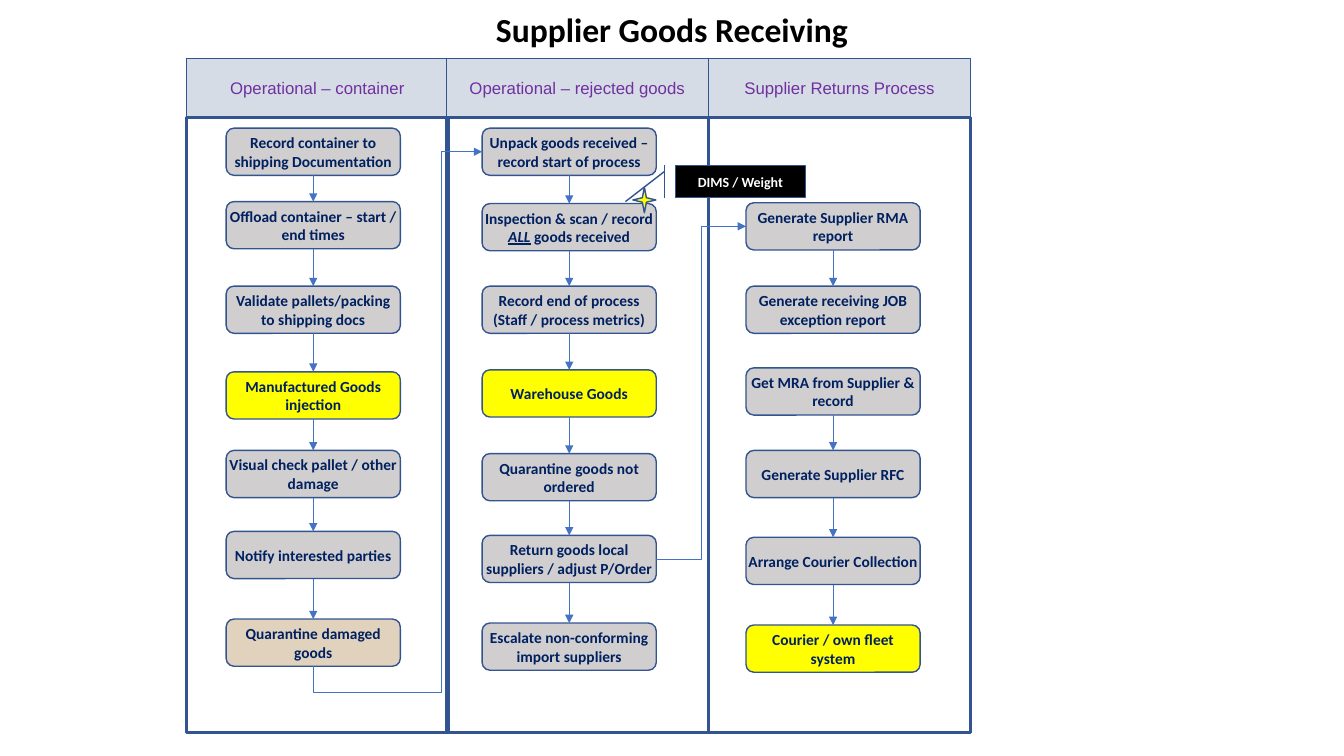
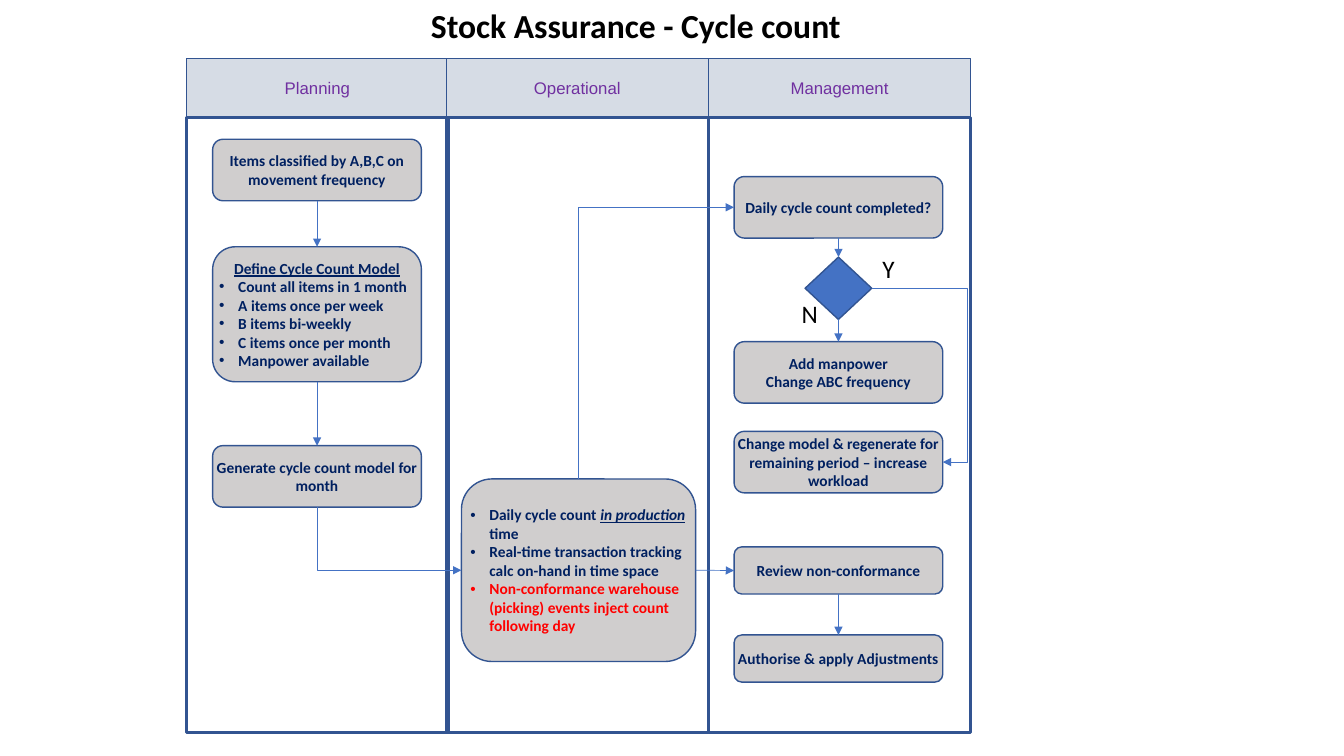
"""Build two swimlane flowcharts: supplier goods receiving and stock cycle count."""
from dataclasses import dataclass, field
from itertools import pairwise
from typing import Any, NamedTuple

from lxml import etree
from pptx import Presentation
from pptx.dml.color import RGBColor
from pptx.enum.shapes import MSO_CONNECTOR, MSO_SHAPE
from pptx.enum.text import MSO_ANCHOR, PP_ALIGN
from pptx.oxml.ns import qn
from pptx.shapes.autoshape import Shape
from pptx.shapes.connector import Connector
from pptx.slide import Slide
from pptx.util import Cm, Pt

ROUNDED = MSO_SHAPE.ROUNDED_RECTANGLE
RECTANGLE = MSO_SHAPE.RECTANGLE
PROCESS = MSO_SHAPE.FLOWCHART_PROCESS
DECISION = MSO_SHAPE.FLOWCHART_DECISION
STAR = MSO_SHAPE.STAR_4_POINT
CALLOUT = MSO_SHAPE.LINE_CALLOUT_1_BORDER_AND_ACCENT_BAR
STRAIGHT = MSO_CONNECTOR.STRAIGHT
ELBOW = MSO_CONNECTOR.ELBOW
LEFT = PP_ALIGN.LEFT
CENTER = PP_ALIGN.CENTER
MIDDLE = MSO_ANCHOR.MIDDLE
TOP_SITE, LEFT_SITE, BOTTOM_SITE, RIGHT_SITE = range(4)

BLACK = RGBColor(0x00, 0x00, 0x00)
WHITE = RGBColor(0xFF, 0xFF, 0xFF)
NAVY = RGBColor(0x00, 0x20, 0x60)
PURPLE = RGBColor(0x70, 0x30, 0xA0)
RED = RGBColor(0xFF, 0x00, 0x00)
YELLOW = RGBColor(0xFF, 0xFF, 0x00)
GREY = RGBColor(0xD0, 0xCE, 0xCE)
SAND = RGBColor(0xE1, 0xD2, 0xBD)
PALE_BLUE = RGBColor(0xD6, 0xDC, 0xE5)
BLUE = RGBColor(0x44, 0x72, 0xC4)
OUTLINE = RGBColor(0x32, 0x54, 0x91)

Format = dict[str, Any]
TITLE_FORMAT: Format = {"name": "Calibri", "size": Pt(24), "bold": True, "color": BLACK}
HEADER_FORMAT: Format = {"name": "Arial", "size": Pt(12), "color": PURPLE}
STEP_FORMAT: Format = {"name": "Calibri", "size": Pt(11), "bold": True, "color": NAVY}
CALLOUT_FORMAT: Format = STEP_FORMAT | {"size": Pt(10), "color": WHITE}
LABEL_FORMAT: Format = {"name": "Calibri", "size": Pt(18), "color": BLACK}
EMPHASIS: Format = {"italic": True, "underline": True}
STEP_FRAME: Format = {"margin_left": 0, "margin_right": 0}

LANE_LEFTS = (4.7, 11.25, 17.86)
LANE_WIDTH = 6.6
HEADER_TOP, HEADER_HEIGHT = 1.47, 1.5
LANE_TOP, LANE_HEIGHT = 2.97, 15.5
STEP_SIZE = (4.39, 1.19)
WIDE_STEP_SIZE = (5.26, 1.55)
WIDE_LOW_SIZE = (5.26, 1.19)
BULLET_INDENT = Cm(0.48)


class Run(NamedTuple):
    """A piece of text and what differs from its base format."""
    text: str
    format: Format = {}


class Line(NamedTuple):
    """A paragraph made of runs."""
    runs: tuple[Run, ...]
    bullet: bool = False


class Area(NamedTuple):
    """A rectangle in centimetres."""
    left: float
    top: float
    width: float
    height: float

    def lengths(self) -> list[Cm]:
        """Return the four values as lengths."""
        return [Cm(value) for value in self]


class Label(NamedTuple):
    """A free text beside a shape."""
    text: str
    area: Area


class Link(NamedTuple):
    """An arrow between sites of two named boxes."""
    begin: str
    end: str
    begin_site: int
    end_site: int
    preset: str = ""
    adjustments: tuple[float, ...] = ()


@dataclass
class Box:
    """A filled shape with its text."""
    area: Area
    lines: tuple[Line, ...] = ()
    fill: RGBColor = GREY
    preset: MSO_SHAPE = ROUNDED
    format: Format = field(default_factory=lambda: STEP_FORMAT)


@dataclass
class Flow:
    """All the content of one slide."""
    title: str
    title_area: Area
    headers: tuple[str, str, str]
    boxes: dict[str, Box]
    chains: tuple[tuple[str, ...], ...]
    links: tuple[Link, ...]
    labels: tuple[Label, ...] = ()


def plain(*texts: str, bullet: bool = False) -> tuple[Line, ...]:
    """Return one line of a single run for each text."""
    return tuple(Line((Run(text),), bullet) for text in texts)


def step(left: float, top: float, size: tuple[float, float], *texts: str,
         fill: RGBColor = GREY) -> Box:
    """Return a box of a given size with plain text."""
    return Box(Area(left, top, *size), plain(*texts), fill)


def apply_format(target: Any, values: Format) -> None:
    """Set each format value on a font or text frame."""
    for name, value in values.items():
        if name == "color":
            target.color.rgb = value
        else:
            setattr(target, name, value)


def write_lines(shape: Shape, lines: tuple[Line, ...], base: Format, frame: Format) -> None:
    """Fill a shape with formatted paragraphs."""
    text_frame = shape.text_frame
    apply_format(text_frame, {"word_wrap": True, "vertical_anchor": MIDDLE} | frame)
    for index, line in enumerate(lines):
        paragraph = text_frame.add_paragraph() if index else text_frame.paragraphs[0]
        paragraph.alignment = LEFT if line.bullet else CENTER
        if line.bullet:
            properties = paragraph._p.get_or_add_pPr()
            properties.set("marL", str(BULLET_INDENT))
            properties.set("indent", str(-BULLET_INDENT))
            etree.SubElement(properties, qn("a:buFont"), typeface="Arial")
            etree.SubElement(properties, qn("a:buChar"), char="•")
        for part in line.runs:
            run = paragraph.add_run()
            run.text = part.text
            apply_format(run.font, base | part.format)


def add_outlined(slide: Slide, preset: MSO_SHAPE, area: Area,
                 fill: RGBColor | None, weight: float = 1) -> Shape:
    """Add a preset shape with the shared outline."""
    shape = slide.shapes.add_shape(preset, *area.lengths())
    shape.shadow.inherit = False
    if fill is None:
        shape.fill.background()
    else:
        shape.fill.solid()
        shape.fill.fore_color.rgb = fill
    shape.line.color.rgb = OUTLINE
    shape.line.width = Pt(weight)
    return shape


def add_label(slide: Slide, label: Label, values: Format) -> None:
    """Add a centred text box."""
    shape = slide.shapes.add_textbox(*label.area.lengths())
    write_lines(shape, plain(label.text), values, {})


def add_lanes(slide: Slide, headers: tuple[str, str, str]) -> None:
    """Draw the three lanes with their headers."""
    for left, text in zip(LANE_LEFTS, headers):
        header = add_outlined(slide, PROCESS, Area(left, HEADER_TOP, LANE_WIDTH, HEADER_HEIGHT),
                              PALE_BLUE)
        write_lines(header, plain(text), HEADER_FORMAT, {})
        add_outlined(slide, RECTANGLE, Area(left, LANE_TOP, LANE_WIDTH, LANE_HEIGHT), None, 2)


def turn_upright(connector: Connector) -> None:
    """Rotate an elbow so that it leaves its first box vertically."""
    across = connector.end_x - connector.begin_x
    down = connector.end_y - connector.begin_y
    middle_x = (connector.begin_x + connector.end_x) // 2
    middle_y = (connector.begin_y + connector.end_y) // 2
    connector.width, connector.height = abs(down), abs(across)
    connector.left = middle_x - connector.width // 2
    connector.top = middle_y - connector.height // 2
    transform = connector._element.spPr.find(qn("a:xfrm"))
    for name, value in {"rot": 90 * 60000, "flipH": int(down < 0),
                        "flipV": int(across > 0)}.items():
        transform.set(name, str(value))


def add_link(slide: Slide, link: Link, shapes: dict[str, Shape]) -> None:
    """Draw an arrow glued to two boxes."""
    kind = ELBOW if link.preset else STRAIGHT
    connector = slide.shapes.add_connector(kind, 0, 0, 0, 0)
    connector.begin_connect(shapes[link.begin], link.begin_site)
    connector.end_connect(shapes[link.end], link.end_site)
    connector.line.color.rgb = BLUE
    connector.line.width = Pt(0.5)
    properties = connector._element.spPr
    etree.SubElement(properties.find(qn("a:ln")), qn("a:tailEnd"), type="triangle")
    etree.SubElement(properties, qn("a:effectLst"))
    if not link.preset:
        return
    geometry = properties.find(qn("a:prstGeom"))
    geometry.set("prst", link.preset)
    for number, value in enumerate(link.adjustments, 1):
        etree.SubElement(geometry.find(qn("a:avLst")), qn("a:gd"),
                         name=f"adj{number}", fmla=f"val {round(value * 100000)}")
    if link.begin_site in (TOP_SITE, BOTTOM_SITE):
        turn_upright(connector)


def add_flow(presentation: Any, flow: Flow) -> None:
    """Add one flowchart slide."""
    slide = presentation.slides.add_slide(presentation.slide_layouts[6])
    add_label(slide, Label(flow.title, flow.title_area), TITLE_FORMAT)
    add_lanes(slide, flow.headers)
    shapes = {}
    for name, box in flow.boxes.items():
        shapes[name] = add_outlined(slide, box.preset, box.area, box.fill)
        write_lines(shapes[name], box.lines, box.format, STEP_FRAME)
    for chain in flow.chains:
        for begin, end in pairwise(chain):
            add_link(slide, Link(begin, end, BOTTOM_SITE, TOP_SITE), shapes)
    for link in flow.links:
        add_link(slide, link, shapes)
    for label in flow.labels:
        add_label(slide, label, LABEL_FORMAT)


RECEIVING = Flow(
    "Supplier Goods Receiving", Area(0, 0.1, 33.87, 1.28),
    ("Operational – container", "Operational – rejected goods", "Supplier Returns Process"),
    {
        "record": step(5.7, 3.23, STEP_SIZE, "Record container to shipping Documentation"),
        "offload": step(5.7, 5.08, STEP_SIZE, "Offload container – start / end times"),
        "validate": step(5.7, 7.21, STEP_SIZE, "Validate pallets/packing to shipping docs"),
        "inject": step(5.7, 9.37, STEP_SIZE, "Manufactured Goods injection", fill=YELLOW),
        "check": step(5.7, 11.35, STEP_SIZE, "Visual check pallet / other damage"),
        "notify": step(5.7, 13.39, STEP_SIZE, "Notify interested parties"),
        "damaged": step(5.7, 15.6, STEP_SIZE, "Quarantine damaged goods", fill=SAND),
        "unpack": step(12.15, 3.23, STEP_SIZE, "Unpack goods received – record start of process"),
        "inspect": Box(Area(12.15, 5.13, *STEP_SIZE), (Line((
            Run("Inspection & scan / record "), Run("ALL", EMPHASIS), Run(" goods received"))),)),
        "finish": step(12.15, 7.21, STEP_SIZE, "Record end of process", "(Staff / process metrics)"),
        "warehouse": step(12.15, 9.32, STEP_SIZE, "Warehouse Goods", fill=YELLOW),
        "unordered": step(12.15, 11.43, STEP_SIZE, "Quarantine goods not ordered"),
        "return": step(12.15, 13.49, STEP_SIZE, "Return goods local suppliers / adjust P/Order"),
        "escalate": step(12.15, 15.7, STEP_SIZE, "Escalate non-conforming import suppliers"),
        "rma": step(18.8, 5.11, STEP_SIZE, "Generate Supplier RMA report"),
        "exception": step(18.8, 7.21, STEP_SIZE, "Generate receiving JOB exception report"),
        "mra": step(18.8, 9.27, STEP_SIZE, "Get MRA from Supplier & record"),
        "rfc": step(18.8, 11.35, STEP_SIZE, "Generate Supplier RFC"),
        "arrange": step(18.8, 13.54, STEP_SIZE, "Arrange Courier Collection"),
        "courier": step(18.8, 15.75, STEP_SIZE, "Courier / own fleet system", fill=YELLOW),
        "star": Box(Area(15.95, 4.72, 0.58, 0.64), fill=YELLOW, preset=STAR),
        "weight": Box(Area(17.02, 4.17, 3.28, 0.81), plain("DIMS / Weight"), BLACK, CALLOUT,
                      CALLOUT_FORMAT),
    },
    (("record", "offload", "validate", "inject", "check", "notify", "damaged"),
     ("unpack", "inspect", "finish", "warehouse", "unordered", "return", "escalate"),
     ("rma", "exception"), ("mra", "rfc", "arrange", "courier")),
    (Link("damaged", "unpack", BOTTOM_SITE, LEFT_SITE, "bentConnector4", (-0.05, 0.76)),
     Link("return", "rma", RIGHT_SITE, LEFT_SITE, "bentConnector3", (0.5,))),
)

CYCLE_COUNT = Flow(
    "Stock Assurance - Cycle count", Area(0.1, 0, 31.85, 1.28),
    ("Planning", "Operational", "Management"),
    {
        "classify": step(5.36, 3.51, WIDE_STEP_SIZE,
                         "Items classified by A,B,C on movement frequency"),
        "define": Box(Area(5.36, 6.22, 5.26, 3.4), (
            Line((Run("Define Cycle Count Model", {"underline": True}),)),
            *plain("Count all items in 1 month", "A items once per week", "B items bi-weekly",
                   "C items once per month", "Manpower available", bullet=True))),
        "generate": step(5.36, 11.23, WIDE_STEP_SIZE, "Generate cycle count model for month"),
        "daily": Box(Area(11.63, 12.07, 5.9, 4.6), (
            Line((Run("Daily cycle count "), Run("in production", EMPHASIS), Run(" time")), True),
            *plain("Real-time transaction tracking calc on-hand in time space", bullet=True),
            Line((Run("Non-conformance warehouse (picking) events inject count following day",
                      {"color": RED}),), True))),
        "completed": step(18.5, 4.45, WIDE_STEP_SIZE, "Daily cycle count completed?"),
        "decision": Box(Area(20.29, 6.48, 1.68, 1.57), fill=BLUE, preset=DECISION),
        "manpower": step(18.5, 8.61, WIDE_STEP_SIZE, "Add manpower", "Change ABC frequency"),
        "change": step(18.5, 10.87, WIDE_STEP_SIZE,
                       "Change model & regenerate for remaining period – increase workload"),
        "review": step(18.5, 13.78, WIDE_LOW_SIZE, "Review non-conformance"),
        "authorise": step(18.5, 16, WIDE_LOW_SIZE, "Authorise & apply Adjustments"),
    },
    (("classify", "define", "generate"), ("completed", "decision", "manpower"),
     ("review", "authorise")),
    (Link("generate", "daily", BOTTOM_SITE, LEFT_SITE, "bentConnector2"),
     Link("daily", "completed", TOP_SITE, LEFT_SITE, "bentConnector2"),
     Link("daily", "review", RIGHT_SITE, LEFT_SITE),
     Link("decision", "change", RIGHT_SITE, RIGHT_SITE, "bentConnector3", (1.34,))),
    (Label("N", Area(19.91, 7.52, 1, 0.74)), Label("Y", Area(21.89, 6.4, 1, 0.74))),
)


def main() -> None:
    """Build and save the presentation."""
    presentation = Presentation()
    presentation.slide_width, presentation.slide_height = Cm(33.87), Cm(19.05)
    for flow in (RECEIVING, CYCLE_COUNT):
        add_flow(presentation, flow)
    presentation.save("out.pptx")


if __name__ == "__main__":
    main()
